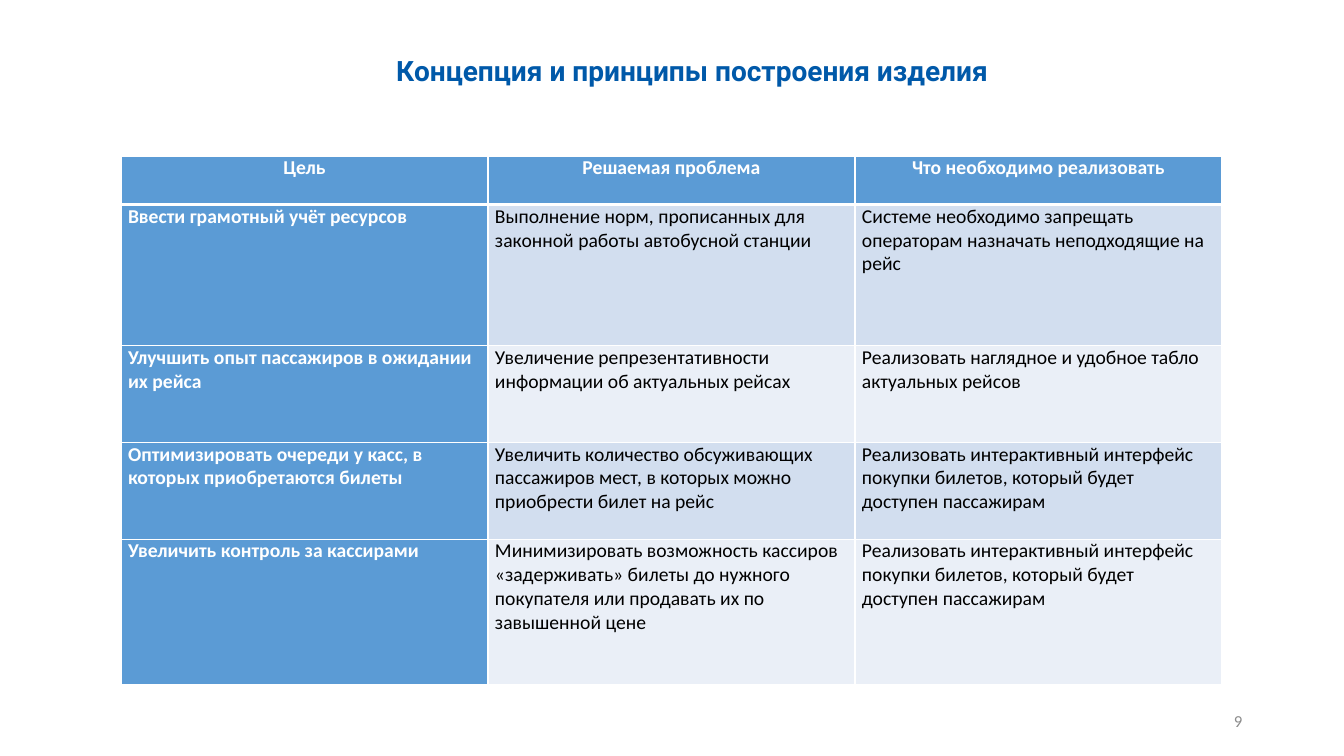
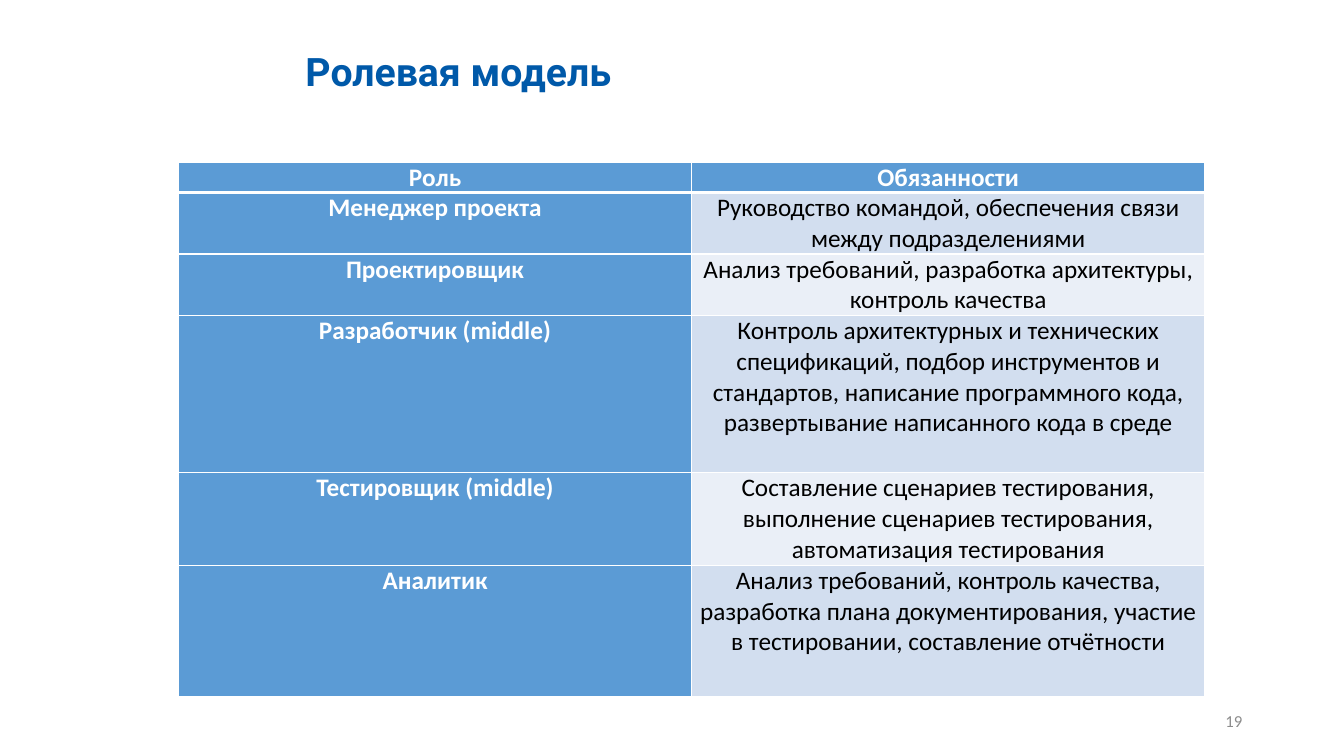
from dataclasses import dataclass

from lxml import etree
from pptx import Presentation
from pptx.dml.color import RGBColor
from pptx.enum import text
from pptx.oxml import ns
from pptx.util import Inches, Pt

TITLE_BLUE = RGBColor(0x00, 0x59, 0xA9)
HEADER_BLUE = RGBColor(0x5B, 0x9B, 0xD5)
BAND_DARK = RGBColor(0xD2, 0xDE, 0xEF)
BAND_LIGHT = RGBColor(0xEA, 0xEF, 0xF7)
NUMBER_GREY = RGBColor(0x8C, 0x8C, 0x8C)
WHITE = RGBColor(0xFF, 0xFF, 0xFF)
BLACK = RGBColor(0x00, 0x00, 0x00)

TITLE_FONT = "Roboto"
BODY_FONT = "Calibri"
TITLE_ONLY_LAYOUT = 5
THIN_BORDER, HEADER_BORDER = 1, 3


@dataclass(frozen=True)
class TableSlide:
    """Positions and lengths are in inches, sizes and spacing in points."""
    title: str
    title_left: float
    title_top: float
    title_size: int
    number: int
    table_left: float
    table_top: float
    column_width: float
    row_heights: tuple[float, ...]
    rows: tuple[tuple[str, ...], ...]
    text_size: int
    body_alignment: text.PP_ALIGN
    spacing: int


SLIDES = (
    TableSlide(
        title="Концепция и принципы построения изделия",
        title_left=3.83, title_top=0.43, title_size=20, number=9,
        table_left=1.2, table_top=1.55, column_width=3.64,
        row_heights=(0.48, 1.4, 0.96, 0.96, 1.44),
        rows=(
            ("Цель", "Решаемая проблема", "Что необходимо реализовать"),
            ("Ввести грамотный учёт ресурсов",
             "Выполнение норм, прописанных для законной работы автобусной станции",
             "Системе необходимо запрещать операторам назначать неподходящие на рейс"),
            ("Улучшить опыт пассажиров в ожидании их рейса",
             "Увеличение репрезентативности информации об актуальных рейсах",
             "Реализовать наглядное и удобное табло актуальных рейсов"),
            ("Оптимизировать очереди у касс, в которых приобретаются билеты",
             "Увеличить количество обсуживающих пассажиров мест, "
             "в которых можно приобрести билет на рейс",
             "Реализовать интерактивный интерфейс покупки билетов, "
             "который будет доступен пассажирам"),
            ("Увеличить контроль за кассирами",
             "Минимизировать возможность кассиров «задерживать» билеты "
             "до нужного покупателя или продавать их по завышенной цене",
             "Реализовать интерактивный интерфейс покупки билетов, "
             "который будет доступен пассажирам"),
        ),
        text_size=14, body_alignment=text.PP_ALIGN.LEFT, spacing=6,
    ),
    TableSlide(
        title="Ролевая модель",
        title_left=2.93, title_top=0.35, title_size=28, number=19,
        table_left=1.77, table_top=1.61, column_width=5.09,
        row_heights=(0.3, 0.61, 0.61, 1.56, 0.92, 1.3),
        rows=(
            ("Роль", "Обязанности"),
            ("Менеджер проекта",
             "Руководство командой, обеспечения связи между подразделениями"),
            ("Проектировщик",
             "Анализ требований, разработка архитектуры, контроль качества"),
            ("Разработчик (middle)",
             "Контроль архитектурных и технических спецификаций, "
             "подбор инструментов и стандартов, написание программного кода, "
             "развертывание написанного кода в среде"),
            ("Тестировщик (middle)",
             "Составление сценариев тестирования, выполнение сценариев "
             "тестирования, автоматизация тестирования"),
            ("Аналитик",
             "Анализ требований, контроль качества, разработка плана "
             "документирования, участие в тестировании, составление отчётности"),
        ),
        text_size=18, body_alignment=text.PP_ALIGN.CENTER, spacing=0,
    ),
)


def write(frame, content: str, font_name: str, size: int, color: RGBColor,
          bold: bool, alignment: text.PP_ALIGN):
    """Fill a text frame with one formatted paragraph and return it."""
    frame.text = content
    paragraph = frame.paragraphs[0]
    paragraph.alignment = alignment
    font = paragraph.runs[0].font
    font.name, font.size, font.bold = font_name, Pt(size), bold
    font.color.rgb = color
    return paragraph


def add_title(slide, content: TableSlide) -> None:
    title = slide.shapes.title
    title.left, title.top = Inches(content.title_left), Inches(content.title_top)
    title.width, title.height = Inches(8.59), Inches(0.67)
    frame = title.text_frame
    frame.auto_size = text.MSO_AUTO_SIZE.NONE
    frame.vertical_anchor = text.MSO_ANCHOR.TOP
    paragraph = write(frame, content.title, TITLE_FONT, content.title_size,
                      TITLE_BLUE, True, text.PP_ALIGN.LEFT)
    paragraph.line_spacing = 1.15


def add_number(slide, number: int) -> None:
    box = slide.shapes.add_textbox(Inches(9.42), Inches(6.95), Inches(3), Inches(0.4))
    frame = box.text_frame
    frame.word_wrap = True
    frame.vertical_anchor = text.MSO_ANCHOR.MIDDLE
    write(frame, str(number), BODY_FONT, 12, NUMBER_GREY, False, text.PP_ALIGN.RIGHT)


def set_borders(cell, top: int, bottom: int) -> None:
    """Draw white cell borders; call before the fill, which must follow them."""
    properties = cell._tc.get_or_add_tcPr()
    widths = {"a:lnL": THIN_BORDER, "a:lnR": THIN_BORDER, "a:lnT": top, "a:lnB": bottom}
    for tag, width in widths.items():
        line = etree.SubElement(properties, ns.qn(tag), w=str(Pt(width)))
        fill = etree.SubElement(line, ns.qn("a:solidFill"))
        etree.SubElement(fill, ns.qn("a:srgbClr"), val=str(WHITE))


def format_cell(cell, row: int, column: int, content: TableSlide) -> None:
    is_header = row == 0
    is_label = is_header or column == 0
    cell.margin_left = cell.margin_right = Inches(0.07)
    cell.margin_top = cell.margin_bottom = 0
    paragraph = write(
        cell.text_frame, content.rows[row][column], BODY_FONT, content.text_size,
        WHITE if is_label else BLACK, is_label,
        text.PP_ALIGN.CENTER if is_header else content.body_alignment)
    paragraph.space_before = paragraph.space_after = Pt(content.spacing)
    set_borders(cell, HEADER_BORDER if row == 1 else THIN_BORDER,
                HEADER_BORDER if is_header else THIN_BORDER)
    band = BAND_DARK if row % 2 else BAND_LIGHT
    cell.fill.solid()
    cell.fill.fore_color.rgb = HEADER_BLUE if is_label else band


def add_table(slide, content: TableSlide) -> None:
    row_count, column_count = len(content.rows), len(content.rows[0])
    table = slide.shapes.add_table(
        row_count, column_count, Inches(content.table_left), Inches(content.table_top),
        Inches(content.column_width * column_count),
        Inches(sum(content.row_heights))).table
    for column in table.columns:
        column.width = Inches(content.column_width)
    for row, height in zip(table.rows, content.row_heights):
        row.height = Inches(height)
    for row in range(row_count):
        for column in range(column_count):
            format_cell(table.cell(row, column), row, column, content)


def main() -> None:
    presentation = Presentation()
    presentation.slide_width, presentation.slide_height = Inches(13.33), Inches(7.5)
    layout = presentation.slide_layouts[TITLE_ONLY_LAYOUT]
    for content in SLIDES:
        slide = presentation.slides.add_slide(layout)
        add_title(slide, content)
        add_number(slide, content.number)
        add_table(slide, content)
    presentation.save("out.pptx")


if __name__ == "__main__":
    main()
